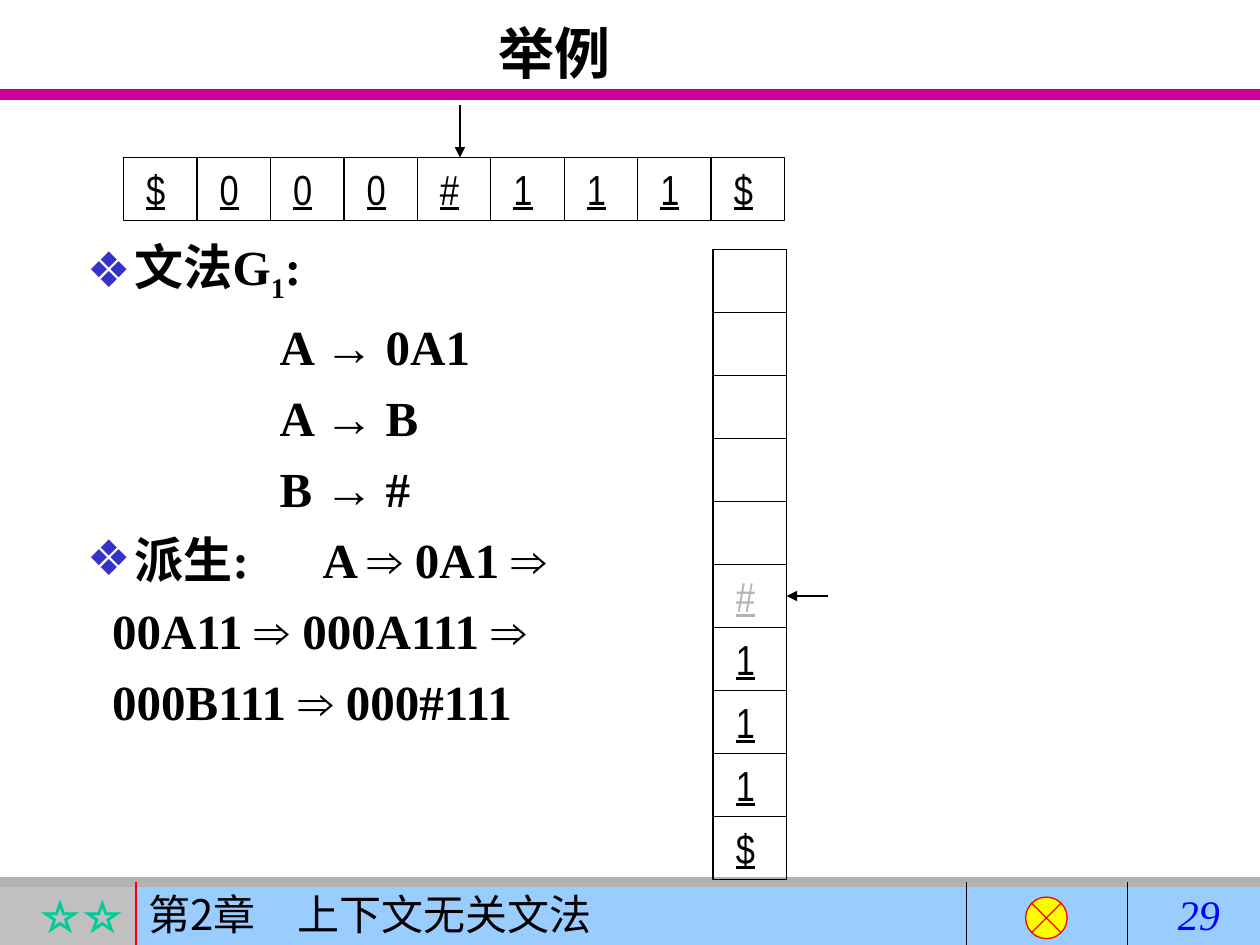
from lxml import etree
from pptx import Presentation
from pptx.dml.color import RGBColor
from pptx.enum import shapes, text
from pptx.oxml import ns
from pptx.util import Inches, Pt

COLORS = {"black": "000000", "magenta": "CC0099", "gray": "B2B2B2", "silver": "C0C0C0",
          "sky": "99CCFF", "green": "00CC99", "red": "FF0000", "yellow": "FFFF00",
          "blue": "0000FF", "bullet": "3333CC"}
SERIF, SANS, NARROW, CJK = "Times New Roman", "Arial", "Arial Narrow", "Noto Sans CJK SC"

TITLE = "举例"
# Body lines: text, left margin, first-line indent, bullet, tab stop
BODY = [
    ("文法G_1:", 0.38, -0.38, True, None),
    ("A → 0A1", 1.53, 0, False, None),
    ("A → B", 1.53, 0, False, None),
    ("B → #", 1.53, 0, False, None),
    ("派生:\tA ⇒ 0A1 ⇒", 0.38, -0.38, True, 1.87),
    ("00A11 ⇒ 000A111 ⇒", 0.2, 0, False, None),
    ("000B111 ⇒ 000#111", 0.2, 0, False, None),
]
INPUT_TAPE = list("$000#111$")
STACK = [""] * 5 + list("#111$")
POPPED = 5  # stack cell shown in gray
CELL_W, CELL_H = 0.583, 0.5
TAPE_LEFT, TAPE_TOP = 0.98, 1.25
STACK_LEFT, STACK_TOP = 5.66, 1.98
TAPE_ARROW = (3.65, 0.83, 3.65, TAPE_TOP)
STACK_ARROW = (6.57, 4.73, STACK_LEFT + CELL_W, 4.73)

# Footer boxes: text, left, width, fill, alignment, format
FOOTER_TOP, FOOTER_H = 7, 0.5
FOOTER = [
    ("☆☆", 0, 1.08, "silver", text.PP_ALIGN.RIGHT, {"name": SERIF, "bold": True, "color": "green"}),
    ("第2章\t上下文无关文法", 1.08, 8.92, "sky", text.PP_ALIGN.LEFT, {"name": CJK}),
    ("29", 9.25, 0.75, None, text.PP_ALIGN.LEFT, {"name": SERIF, "italic": True, "color": "blue"}),
]
CHAPTER_TAB = 1.18
RULES = [
    (0, 0.75, 10, 0.75, "magenta", 6),
    (0, 7, 10, 7, "gray", 6),
    (1.08, 7, 1.08, 7.5, "red", 0.75),
    (7.67, 7, 7.67, 7.5, "black", 0.75),
    (8.95, 7, 8.95, 7.5, "black", 0.75),
]


def rgb(name):
    return RGBColor.from_string(COLORS[name])


def add_xml(parent, tag, **attrs):
    return etree.SubElement(parent, ns.qn(tag), attrs)


def add_run(p, content, color="black", **fmt):
    r = p.add_run()
    r.text = content
    for key, value in fmt.items():
        setattr(r.font, key, value)
    r.font.color.rgb = rgb(color)
    add_xml(r.font._element, "a:ea", typeface=CJK)
    return r


def add_tab(p, position):
    tabs = add_xml(p._p.get_or_add_pPr(), "a:tabLst")
    add_xml(tabs, "a:tab", pos=str(Inches(position)), algn="l")


def prepare(tf, left=0.1):
    tf.word_wrap = True
    tf.auto_size = text.MSO_AUTO_SIZE.NONE
    tf.vertical_anchor = text.MSO_ANCHOR.TOP
    tf.margin_left = Inches(left)
    return tf.paragraphs[0]


def place(sp, *box):
    for key, value in zip(("left", "top", "width", "height"), box):
        setattr(sp, key, Inches(value))


def add_box(parent, kind, box, fill=None, line=None):
    sp = parent.add_shape(kind, *map(Inches, box))
    sp.shadow.inherit = False
    if fill:
        sp.fill.solid()
        sp.fill.fore_color.rgb = rgb(fill)
    else:
        sp.fill.background()
    if line:
        sp.line.color.rgb = rgb(line)
        sp.line.width = Pt(0.75)
    else:
        sp.line.fill.background()
    return sp


def add_line(parent, x1, y1, x2, y2, color="black", width=0.75, arrow=False):
    c = parent.add_connector(shapes.MSO_CONNECTOR.STRAIGHT, *map(Inches, (x1, y1, x2, y2)))
    c.line.color.rgb = rgb(color)
    c.line.width = Pt(width)
    if arrow:
        add_xml(c.line._get_or_add_ln(), "a:tailEnd", type="triangle")
    add_xml(c._element.spPr, "a:effectLst")


def add_cells(parent, symbols, left, top, dx, dy, gray=None):
    """Draw one bordered cell per symbol, stepping by dx and dy."""
    for i, symbol in enumerate(symbols):
        box = (left + i * dx, top + i * dy, CELL_W, CELL_H)
        sp = add_box(parent, shapes.MSO_SHAPE.RECTANGLE, box, line="black")
        if symbol:
            p = prepare(sp.text_frame, 0.18)
            p.alignment = text.PP_ALIGN.LEFT
            add_run(p, symbol, "gray" if i == gray else "black",
                    name=NARROW, size=Pt(24), underline=True)


def add_body_line(p, content, margin, indent, bullet, tab):
    """Arrows are set in the sans font; the character after _ is a subscript."""
    pPr = p._p.get_or_add_pPr()
    pPr.set("marL", str(Inches(margin)))
    pPr.set("indent", str(Inches(indent)))
    if bullet:
        add_xml(add_xml(pPr, "a:buClr"), "a:srgbClr", val=COLORS["bullet"])
        add_xml(pPr, "a:buChar", char="❖")
    else:
        add_xml(pPr, "a:buNone")
    if tab:
        add_tab(p, tab)
    fmt = {"size": Pt(28), "bold": True}
    base, _, rest = content.partition("_")
    for part in base.replace("→", "|→|").replace("⇒", "|⇒|").split("|"):
        if part:
            add_run(p, part, name=SANS if part in "→⇒" else SERIF, **fmt)
    if rest:
        sub = add_run(p, rest[0], name=SERIF, **fmt)
        sub.font._element.set("baseline", "-25000")
        add_run(p, rest[1:], name=SERIF, **fmt)


def main():
    prs = Presentation()
    prs.slide_width, prs.slide_height = Inches(10), Inches(7.5)
    s = prs.slides.add_slide(prs.slide_layouts[1])
    title, body = s.placeholders

    for content, left, width, fill, align, fmt in FOOTER:
        box = (left, FOOTER_TOP, width, FOOTER_H)
        sp = add_box(s.shapes, shapes.MSO_SHAPE.RECTANGLE, box, fill)
        p = prepare(sp.text_frame)
        p.alignment = align
        if "\t" in content:
            add_tab(p, CHAPTER_TAB)
        add_run(p, content, size=Pt(24), **fmt)
    for rule in RULES:
        add_line(s.shapes, *rule)
    add_box(s.shapes, shapes.MSO_SHAPE.FLOWCHART_SUMMING_JUNCTION,
            (8.14, 7.12, 0.33, 0.33), "yellow", "red")

    place(title, 0.15, 0.1, 8.5, 1.25)
    p = prepare(title.text_frame)
    p.alignment = text.PP_ALIGN.CENTER
    add_run(p, TITLE, name=SERIF, size=Pt(32), bold=True)

    place(body, 0.59, 1.83, 5.42, 5.08)
    p = prepare(body.text_frame)
    for i, line in enumerate(BODY):
        if i:
            p = body.text_frame.add_paragraph()
        p.space_before = Pt(7 if i else 0)
        add_body_line(p, *line)

    tape = s.shapes.add_group_shape().shapes
    add_cells(tape, INPUT_TAPE, TAPE_LEFT, TAPE_TOP, CELL_W, 0)
    add_line(tape, *TAPE_ARROW, arrow=True)
    stack = s.shapes.add_group_shape().shapes
    add_cells(stack, STACK, STACK_LEFT, STACK_TOP, 0, CELL_H, POPPED)
    add_line(stack, *STACK_ARROW, arrow=True)

    prs.save("out.pptx")


if __name__ == "__main__":
    main()
